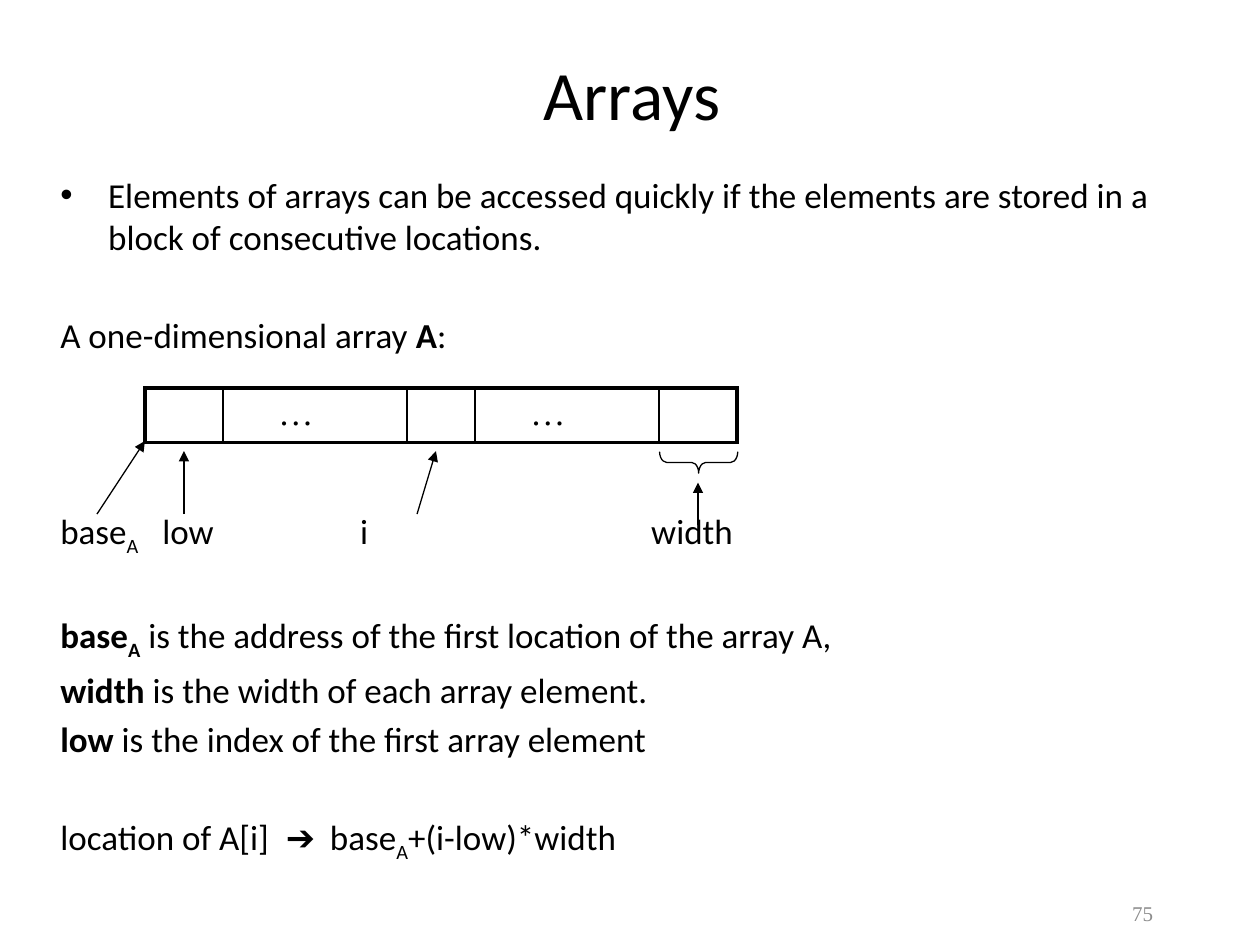
from dataclasses import dataclass

from pptx import Presentation
from pptx.dml.color import RGBColor
from pptx.enum.shapes import MSO_CONNECTOR, MSO_SHAPE
from pptx.enum.text import MSO_ANCHOR, PP_ALIGN
from pptx.oxml.ns import qn
from pptx.util import Inches, Pt
from lxml.etree import SubElement

COLORS = {"ink": "000000", "number": "8C8C8C"}
SANS, SERIF = "Calibri", "Times New Roman"
BODY_SIZE = 20
LINE_GAP, LINE_PITCH = 4, 28  # points


@dataclass
class Run:
    text: str
    bold: bool = False
    sub: bool = False


@dataclass
class Para:
    runs: list[Run]
    skipped: int = 0  # empty lines left above
    bullet: bool = False
    tabs: tuple[float, ...] = ()


@dataclass
class Arrow:
    x1: float
    y1: float
    x2: float
    y2: float


PARAS = [
    Para([Run("Elements of arrays can be accessed quickly if the elements are "
              "stored in a block of consecutive locations.")], bullet=True),
    Para([Run("A one-dimensional array "), Run("A", bold=True), Run(":")], skipped=1),
    Para([Run("base"), Run("A", sub=True), Run("\tlow\ti\twidth")],
         skipped=3, tabs=(0.81, 2.38, 4.69)),
    Para([Run("base", bold=True), Run("A", bold=True, sub=True),
          Run(" is the address of the first location of the array A,")], skipped=1),
    Para([Run("width", bold=True), Run(" is the width of each array element.")]),
    Para([Run("low", bold=True), Run(" is the index of the first array element")]),
    Para([Run("location of A[i]\t➔\tbase"), Run("A", sub=True), Run("+(i-low)*width")],
         skipped=1, tabs=(1.79, 2.14)),
]
CELLS = [(0.62, ""), (1.46, "…"), (0.54, ""), (1.46, "…"), (0.62, "")]
ARROWS = [
    Arrow(0.77, 4.08, 1.15, 3.5),
    Arrow(3.31, 4.08, 3.46, 3.58),
    Arrow(5.54, 4.17, 5.54, 3.83),
    Arrow(1.46, 4.08, 1.46, 3.58),
]


def color(name: str) -> RGBColor:
    return RGBColor.from_string(COLORS[name])


def add_run(p, run: Run, size: float, font: str = SANS, ink: str = "ink") -> None:
    r = p.add_run()
    r.text = run.text
    r.font.size, r.font.name, r.font.bold = Pt(size), font, run.bold
    r.font.color.rgb = color(ink)
    if run.sub:
        r.font._element.set("baseline", "-25000")


def add_box(s, x: float, y: float, w: float, h: float, anchor=MSO_ANCHOR.TOP):
    tf = s.shapes.add_textbox(Inches(x), Inches(y), Inches(w), Inches(h)).text_frame
    tf.word_wrap = True
    tf.vertical_anchor = anchor
    return tf


def add_label(s, text: str, box: tuple, align, size: float, font: str, ink: str) -> None:
    p = add_box(s, *box, anchor=MSO_ANCHOR.MIDDLE).paragraphs[0]
    p.alignment = align
    add_run(p, Run(text), size, font, ink)


def add_body(s) -> None:
    tf = add_box(s, 0.38, 1.33, 9.08, 5.75)
    for i, para in enumerate(PARAS):
        p = tf.add_paragraph() if i else tf.paragraphs[0]
        if i:
            p.space_before = Pt(LINE_GAP + LINE_PITCH * para.skipped)
        pPr = p._p.get_or_add_pPr()
        if para.bullet:
            pPr.set("marL", str(Inches(0.38)))
            pPr.set("indent", str(-Inches(0.38)))
            SubElement(pPr, qn("a:buFont"), typeface="Arial")
            SubElement(pPr, qn("a:buChar"), char="•")
        if para.tabs:
            tabs = SubElement(pPr, qn("a:tabLst"))
            for pos in para.tabs:
                SubElement(tabs, qn("a:tab"), pos=str(Inches(pos)), algn="l")
        for run in para.runs:
            add_run(p, run, BODY_SIZE)


def set_border(cell, side: str, width: float) -> None:
    ln = SubElement(cell._tc.get_or_add_tcPr(), qn(f"a:ln{side}"), w=str(Pt(width)))
    SubElement(SubElement(ln, qn("a:solidFill")), qn("a:srgbClr"), val=COLORS["ink"])


def add_array(s) -> None:
    width = sum(w for w, _ in CELLS)
    table = s.shapes.add_table(1, len(CELLS), Inches(1.15), Inches(3.08),
                               Inches(width), Inches(0.42)).table
    table.first_row = table.horz_banding = False
    last = len(CELLS) - 1
    for i, (w, text) in enumerate(CELLS):
        table.columns[i].width = Inches(w)
        cell = table.cell(0, i)
        set_border(cell, "L", 2.25 if i == 0 else 1)
        set_border(cell, "R", 2.25 if i == last else 1)
        set_border(cell, "T", 2.25)
        set_border(cell, "B", 2.25)
        cell.fill.background()
        if text:
            cell.margin_left = Inches(0.44)
            add_run(cell.text_frame.paragraphs[0], Run(text), BODY_SIZE, SERIF)


def add_arrow(s, a: Arrow) -> None:
    sp = s.shapes.add_connector(MSO_CONNECTOR.STRAIGHT, Inches(a.x1), Inches(a.y1),
                                Inches(a.x2), Inches(a.y2))
    sp.line.color.rgb = color("ink")
    sp.line.width = Pt(0.75)
    SubElement(sp.line._get_or_add_ln(), qn("a:tailEnd"), type="triangle")
    SubElement(sp._element.spPr, qn("a:effectLst"))


def add_width_brace(s) -> None:
    sp = s.shapes.add_shape(MSO_SHAPE.LEFT_BRACE, Inches(5.46), Inches(3.36),
                            Inches(0.17), Inches(0.62))
    sp.rotation = 270
    sp.adjustments[0], sp.adjustments[1] = 0.33, 0.5
    sp.shadow.inherit = False
    sp.fill.background()
    sp.line.color.rgb = color("ink")
    sp.line.width = Pt(0.75)


def main() -> None:
    prs = Presentation()
    prs.slide_width, prs.slide_height = Inches(10), Inches(7.5)
    s = prs.slides.add_slide(prs.slide_layouts[6])
    add_label(s, "Arrays", (0.81, 0.39, 8.41, 0.7), PP_ALIGN.CENTER, 39.6, SANS, "ink")
    add_body(s)
    add_array(s)
    add_label(s, "75", (7.25, 7.08, 2, 0.33), PP_ALIGN.RIGHT, 12, SERIF, "number")
    add_width_brace(s)
    for arrow in ARROWS:
        add_arrow(s, arrow)
    prs.save("out.pptx")


if __name__ == "__main__":
    main()
